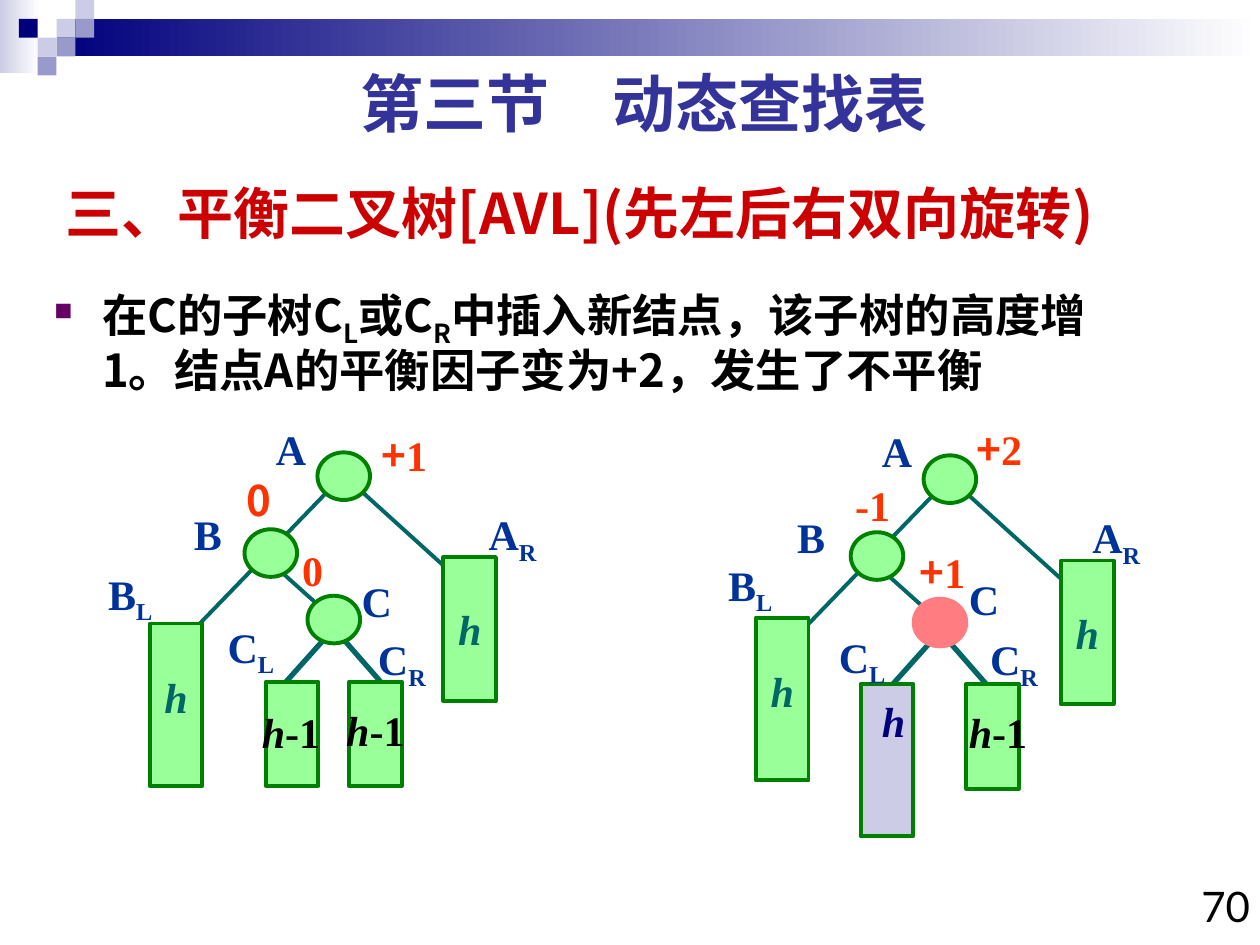
from lxml import etree
from pptx import Presentation
from pptx.dml.color import RGBColor
from pptx.enum.shapes import MSO_CONNECTOR as CONN, MSO_SHAPE as SHAPE
from pptx.enum.text import MSO_ANCHOR as ANCHOR, MSO_AUTO_SIZE as FIT, PP_ALIGN as ALIGN
from pptx.oxml.ns import qn
from pptx.util import Cm, Pt

NAVY = RGBColor(0x00, 0x00, 0x7D)
LAVENDER = RGBColor(0xCC, 0xCC, 0xE6)
PERIWINKLE = RGBColor(0x99, 0x99, 0xCC)
WHITE = RGBColor(0xFF, 0xFF, 0xFF)
BLACK = RGBColor(0x00, 0x00, 0x00)
INDIGO = RGBColor(0x33, 0x33, 0x99)
CRIMSON = RGBColor(0xCC, 0x00, 0x00)
PLUM = RGBColor(0x66, 0x00, 0x66)
TEAL = RGBColor(0x00, 0x66, 0x66)
LIME = RGBColor(0x99, 0xFF, 0x99)
GREEN = RGBColor(0x00, 0x80, 0x00)
BLUE = RGBColor(0x00, 0x33, 0x99)
ORANGE = RGBColor(0xFF, 0x33, 0x00)
PINK = RGBColor(0xFF, 0x7C, 0x80)

SERIF, SANS, LATO = "Times New Roman", "Noto Sans CJK SC", "Lato"
CELL = 0.38
NODE_W, NODE_H = 1.06, 0.96
SQUARES = [(3, 1, LAVENDER), (4, 0, LAVENDER), (4, 1, PERIWINKLE), (2, 2, LAVENDER),
           (1, 1, NAVY), (3, 2, PERIWINKLE), (2, 3, PERIWINKLE)]

NODES = {"A": (6.4, 9.12), "B": (4.93, 10.67), "C": (6.2, 12.01)}
EDGES = [(7.26, 9.88, 9.17, 11.61, 2.25), (6.63, 9.88, 3.66, 12.95, 2.25),
         (5.56, 11.43, 6.83, 12.57, 2.25), (6.83, 12.78, 7.67, 13.74, 3),
         (6.63, 12.78, 5.77, 13.74, 3)]
LABEL_W = {"A": 1.12, "AR": 1.47, "B": 1.07, "BL": 1.4, "C": 1.12, "CL": 1.45, "CR": 1.47}

BEFORE = {
    "offset": (0, 0),
    "boxes": [(8.94, 11.23, 2.9, "h", 1), (3.02, 12.57, 3.28, "h", 0.6),
              (5.36, 13.74, 2.11, "", 1), (7.04, 13.74, 2.11, "", 1)],
    "labels": {"A": (5.31, 8.41), "AR": (9.6, 10.13), "B": (3.66, 10.13), "BL": (1.93, 11.33),
               "C": (7.04, 11.48), "CL": (4.34, 12.4), "CR": (7.37, 12.65)},
    "heights": [(5.03, 14.12), (6.73, 14.07)],
    "factors": [(7.44, 8.53, 1.46, [("+", SANS), ("1", SERIF)]),
                (4.72, 9.45, 0.91, [("0", SANS)]), (5.84, 10.85, 0.91, [("0", SERIF)])],
    "inserted": False,
}
AFTER = {
    "offset": (12.22, 0.06),
    "boxes": [(21.39, 11.3, 2.9, "h", 1), (15.24, 12.45, 3.28, "h", 0.6),
              (17.35, 13.79, 3.07, "", 1), (19.48, 13.79, 2.11, "", 1)],
    "labels": {"A": (17.53, 8.46), "AR": (21.77, 10.19), "B": (15.82, 10.19),
               "BL": (14.43, 11.15), "C": (19.28, 11.43), "CL": (16.66, 12.6),
               "CR": (19.71, 12.65)},
    "heights": [(19.28, 14.12)],
    "factors": [(19.43, 8.41, 1.46, [("+", SANS), ("2", SERIF)]),
                (16.99, 9.55, 1.22, [("-1", SERIF)]),
                (18.29, 10.9, 1.46, [("+", SANS), ("1", SERIF)])],
    "inserted": True,
}


class Deck:
    def __init__(self):
        self.prs = Presentation()
        self.prs.slide_width, self.prs.slide_height = Cm(25.4), Cm(19.05)
        self.s = self.prs.slides.add_slide(self.prs.slide_layouts[6])

    def style(self, r, size, color, font=SERIF, bold=True, italic=False, sub=False):
        r.font.size, r.font.bold, r.font.italic = Pt(size), bold, italic
        r.font.color.rgb, r.font.name = color, font
        rPr = r.font._element
        ea = etree.SubElement(rPr, qn("a:ea"))
        ea.set("typeface", SANS if font == LATO else font)
        if sub:
            rPr.set("baseline", "-25000")

    def text(self, x, y, w, h, runs, size=24, color=BLUE, align=ALIGN.LEFT, wrap=False,
             anchor=ANCHOR.TOP, spacing=None):
        tf = self.s.shapes.add_textbox(Cm(x), Cm(y), Cm(w), Cm(h)).text_frame
        tf.word_wrap, tf.vertical_anchor = wrap, anchor
        tf.auto_size = FIT.NONE if wrap else FIT.SHAPE_TO_FIT_TEXT
        p = tf.paragraphs[0]
        p.alignment = align
        if spacing:
            p.line_spacing = spacing
        for content, fmt in runs:
            r = p.add_run()
            r.text = content
            self.style(r, size, color, **fmt)
        return p

    def bullet(self, p, indent, color, percent, char):
        pPr = p._p.get_or_add_pPr()
        pPr.set("marL", str(Cm(indent)))
        pPr.set("indent", str(-Cm(indent)))
        clr = etree.SubElement(pPr, qn("a:buClr"))
        etree.SubElement(clr, qn("a:srgbClr")).set("val", str(color))
        etree.SubElement(pPr, qn("a:buSzPct")).set("val", str(percent * 1000))
        etree.SubElement(pPr, qn("a:buChar")).set("char", char)

    def shape(self, kind, x, y, w, h, fill, line=None):
        sp = self.s.shapes.add_shape(kind, Cm(x), Cm(y), Cm(w), Cm(h))
        sp.shadow.inherit = False
        sp.fill.solid()
        sp.fill.fore_color.rgb = fill
        if line is None:
            sp.line.fill.background()
        else:
            sp.line.color.rgb, sp.line.width = line, Pt(2.25)
        return sp

    def gradient(self, x, y, w, h, start):
        fill = self.shape(SHAPE.RECTANGLE, x, y, w, h, start).fill
        fill.gradient()
        fill.gradient_angle = 0
        for stop, color in zip(fill.gradient_stops, (start, WHITE)):
            stop.color.rgb = color

    def box(self, x, y, h, fill, label, spacing):
        sp = self.shape(SHAPE.RECTANGLE, x, y, NODE_W, h, fill, GREEN)
        if label:
            tf = sp.text_frame
            tf.text, tf.word_wrap, tf.vertical_anchor = label, False, ANCHOR.MIDDLE
            p = tf.paragraphs[0]
            p.alignment, p.line_spacing = ALIGN.CENTER, float(spacing)
            self.style(p.runs[0], 24, TEAL, italic=True)

    def edge(self, x1, y1, x2, y2, width):
        cn = self.s.shapes.add_connector(CONN.STRAIGHT, Cm(x1), Cm(y1), Cm(x2), Cm(y2))
        cn.line.color.rgb, cn.line.width = TEAL, Pt(width)
        etree.SubElement(cn._element.spPr, qn("a:effectLst"))

    def tree(self, boxes, labels, heights, factors, offset, inserted):
        dx, dy = offset
        for x1, y1, x2, y2, width in EDGES:
            self.edge(x1 + dx, y1 + dy, x2 + dx, y2 + dy, width)
        for i, (x, y, h, label, spacing) in enumerate(boxes):
            self.box(x, y, h, LAVENDER if inserted and i == 2 else LIME, label, spacing)
        for name, (x, y) in NODES.items():
            fill, line = (PINK, PINK) if inserted and name == "C" else (LIME, GREEN)
            self.shape(SHAPE.OVAL, x + dx, y + dy, NODE_W, NODE_H, fill, line)
        for name, (x, y) in labels.items():
            runs = [(name[0], {})] + [(c, {"sub": True}) for c in name[1:]]
            self.text(x, y, LABEL_W[name], 1.42 if name[1:] else 1.27, runs)
        for x, y in heights:
            self.text(x, y, 1.68, 1.27, [("h", {"italic": True}), ("-1", {})], color=BLACK)
        for x, y, w, parts in factors:
            self.text(x, y, w, 1.27, [(t, {"font": f}) for t, f in parts], color=ORANGE)


def main():
    d = Deck()
    d.gradient(0, 0, 0.79, 1.47, LAVENDER)
    d.gradient(1.14, CELL, 24.26, 0.76, NAVY)
    for col, row, color in SQUARES:
        d.shape(SHAPE.RECTANGLE, col * CELL, row * CELL, CELL, CELL, color)

    d.text(1.24, 1.17, 23.5, 1.78, [("第三节　动态查找表", {"font": LATO})], 36, INDIGO,
           ALIGN.CENTER, True)
    sans, sub = {"font": SANS}, {"font": SANS, "sub": True}
    d.text(1.07, 3.33, 23.29, 1.91, [("三、平衡二叉树[AVL](先左后右双向旋转)", sans)], 32,
           CRIMSON, wrap=True, anchor=ANCHOR.MIDDLE)
    body = [("在C的子树C", sans), ("L", sub), ("或C", sans), ("R", sub),
            ("中插入新结点，该子树的高度增1。结点A的平衡因子变为+2，发生了不平衡", sans)]
    p = d.text(0.84, 5.66, 22.43, 2.92, body, 25.9, BLACK, wrap=True, spacing=0.95)
    d.bullet(p, 0.97, PLUM, 55, "■")

    d.tree(**BEFORE)
    d.tree(**AFTER)
    d.text(17.53, 14.25, 0.97, 1.47, [("h", {"italic": True})], color=NAVY,
           align=ALIGN.CENTER, wrap=True, spacing=0.6)
    d.text(23.67, 17.63, 1.78, 1.5, [("70", {"font": LATO, "bold": False})], color=BLACK,
           align=ALIGN.RIGHT, wrap=True)
    d.prs.save("out.pptx")


if __name__ == "__main__":
    main()
